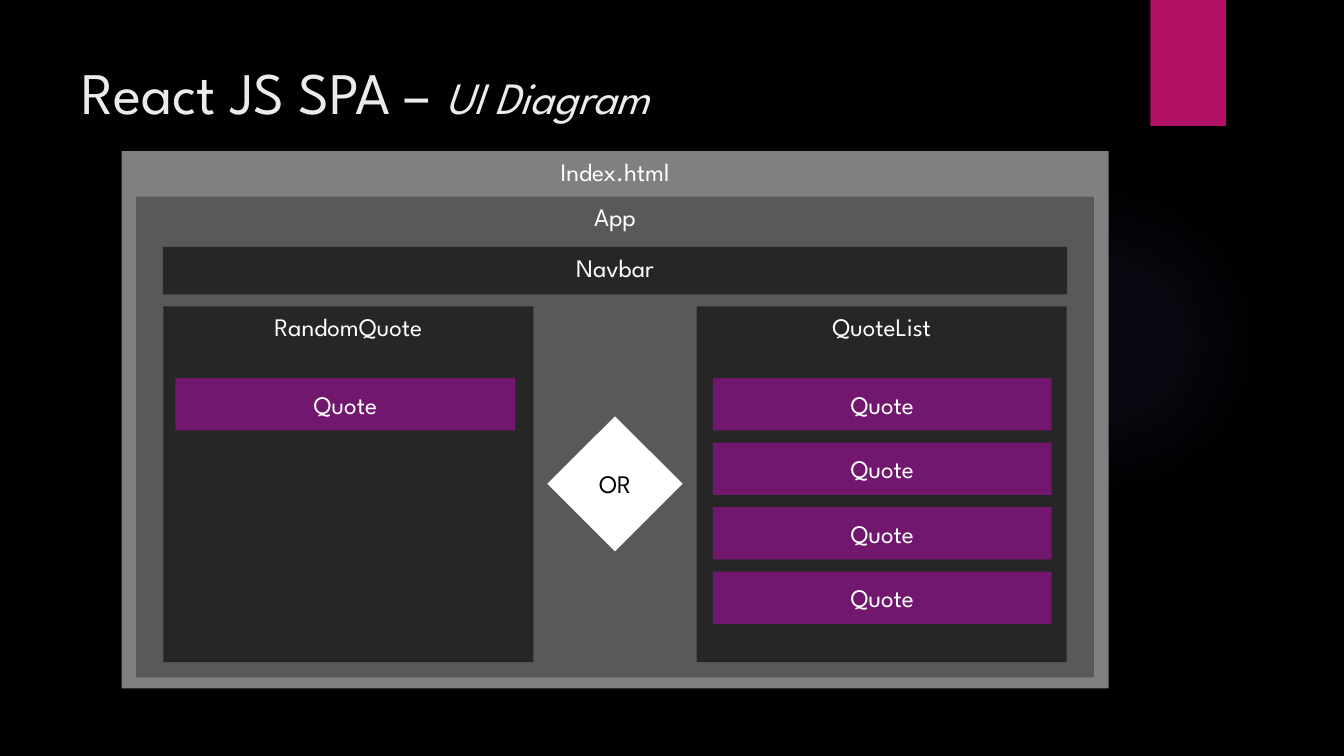
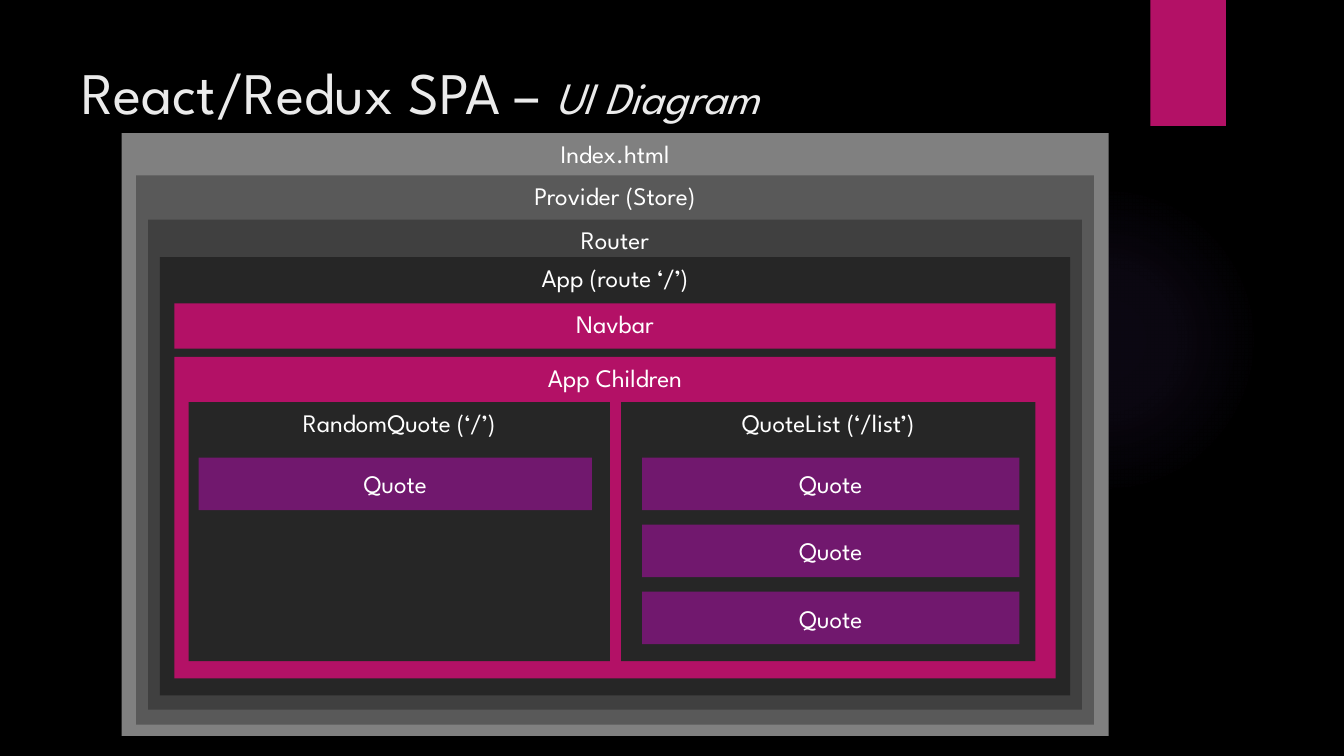
from pptx import Presentation
from pptx.dml.color import RGBColor
from pptx.enum.shapes import MSO_SHAPE as Shape
from pptx.enum.text import MSO_ANCHOR as Anchor, PP_ALIGN as Align
from pptx.oxml import parse_xml
from pptx.oxml.ns import nsdecls
from pptx.util import Inches, Pt

FONT = "League Spartan"
BLACK, WHITE, TITLE = "000000", "FFFFFF", "EBEBEB"
GREY, SLATE, COAL, NIGHT = "808080", "595959", "404040", "262626"
PINK, PURPLE, VIOLET = "B31166", "71186E", "9B6BF2"
GLOW_STOPS = [(0, 7), (36, 6), (69, 0)]  # position and opacity, in percent

MIDDLE = 6.1  # all frames are centred on this line
QUOTE_HEIGHT = 0.52

# frames: text, colour, width, top, height
# columns: text, left, width, quote left, quote width, quote count
DIAGRAMS = [
    {
        "title": "React JS SPA – ",
        "frames": [
            ("Index.html", GREY, 9.79, 1.5, 5.33),
            ("App", SLATE, 9.5, 1.95, 4.77),
            ("Navbar", NIGHT, 8.97, 2.45, 0.47),
        ],
        "columns": [
            ("RandomQuote", 1.62, 3.67, 1.74, 3.37, 1),
            ("QuoteList", 6.91, 3.67, 7.07, 3.36, 4),
        ],
        "column_top": 3.04, "column_height": 3.53,
        "quote_top": 3.75, "quote_step": 0.64,
        "choice": ("OR", 4.13, 1.34),
    },
    {
        "title": "React/Redux SPA – ",
        "frames": [
            ("Index.html", GREY, 9.79, 1.32, 5.98),
            ("Provider (Store)", SLATE, 9.5, 1.74, 5.45),
            ("Router", COAL, 9.26, 2.18, 4.86),
            ("App (route ‘/’)", NIGHT, 9.03, 2.55, 4.35),
            ("Navbar", PINK, 8.74, 3.01, 0.45),
            ("App Children", PINK, 8.74, 3.54, 3.19),
        ],
        "columns": [
            ("RandomQuote (‘/’)", 1.87, 4.18, 1.97, 3.9, 1),
            ("QuoteList (‘/list’)", 6.16, 4.11, 6.37, 3.74, 3),
        ],
        "column_top": 3.99, "column_height": 2.57,
        "quote_top": 4.54, "quote_step": 0.665,
    },
]


def rgb(value):
    return RGBColor.from_string(value)


def add_run(paragraph, text, size, colour, italic=None):
    run = paragraph.add_run()
    run.text = text
    font = run.font
    font.name, font.size, font.italic = FONT, Pt(size), italic
    font.color.rgb = rgb(colour)


def add_box(slide, box, colour=None, text="", kind=Shape.RECTANGLE,
            anchor=Anchor.TOP, ink=WHITE):
    """Add a flat, borderless shape with an optional centred label."""
    shape = slide.shapes.add_shape(kind, *map(Inches, box))
    shape.shadow.inherit = False
    shape.line.fill.background()
    if colour:
        shape.fill.solid()
        shape.fill.fore_color.rgb = rgb(colour)
    if text:
        frame = shape.text_frame
        frame.word_wrap = True
        frame.vertical_anchor = anchor
        label = frame.paragraphs[0]
        label.alignment = Align.CENTER
        add_run(label, text, 18, ink)
    return shape


def add_glow(slide):
    glow = add_box(slide, (9.41, 1.83, 3.08, 3.08), kind=Shape.OVAL)
    stops = "".join(
        f'<a:gs pos="{place * 1000}"><a:srgbClr val="{VIOLET}">'
        f'<a:alpha val="{opacity * 1000}"/></a:srgbClr></a:gs>'
        for place, opacity in GLOW_STOPS)
    gradient = parse_xml(
        f'<a:gradFill {nsdecls("a")} rotWithShape="1"><a:gsLst>{stops}</a:gsLst>'
        '<a:path path="circle"><a:fillToRect l="50000" t="50000" r="50000" b="50000"/>'
        '</a:path></a:gradFill>')
    glow._element.spPr.insert(2, gradient)  # right after the geometry


def add_base(deck, title):
    """Add a slide with the shared background, glow, tab and title."""
    slide = deck.slides.add_slide(deck.slide_layouts[6])
    slide.background.fill.solid()
    slide.background.fill.fore_color.rgb = rgb(BLACK)
    add_glow(slide)
    add_box(slide, (11.41, 0, 0.75, 1.25), PINK)
    heading = slide.shapes.add_textbox(*map(Inches, (0.71, 0.5, 10.29, 1.53)))
    heading.text_frame.word_wrap = True
    line = heading.text_frame.paragraphs[0]
    add_run(line, title, 42, TITLE)
    add_run(line, "UI Diagram", 32, TITLE, italic=True)
    return slide


def add_diagram(slide, diagram):
    for text, colour, width, top, height in diagram["frames"]:
        add_box(slide, (MIDDLE - width / 2, top, width, height), colour, text)
    for text, left, width, quote_left, quote_width, count in diagram["columns"]:
        add_box(slide, (left, diagram["column_top"], width, diagram["column_height"]),
                NIGHT, text)
        for row in range(count):
            top = diagram["quote_top"] + row * diagram["quote_step"]
            add_box(slide, (quote_left, top, quote_width, QUOTE_HEIGHT),
                    PURPLE, "Quote", anchor=Anchor.MIDDLE)
    if "choice" in diagram:
        text, top, size = diagram["choice"]
        add_box(slide, (MIDDLE - size / 2, top, size, size), WHITE, text,
                Shape.DIAMOND, Anchor.MIDDLE, BLACK)


def main():
    deck = Presentation()
    deck.slide_width, deck.slide_height = Inches(13.33), Inches(7.5)
    for diagram in DIAGRAMS:
        add_diagram(add_base(deck, diagram["title"]), diagram)
    deck.save("out.pptx")


if __name__ == "__main__":
    main()
